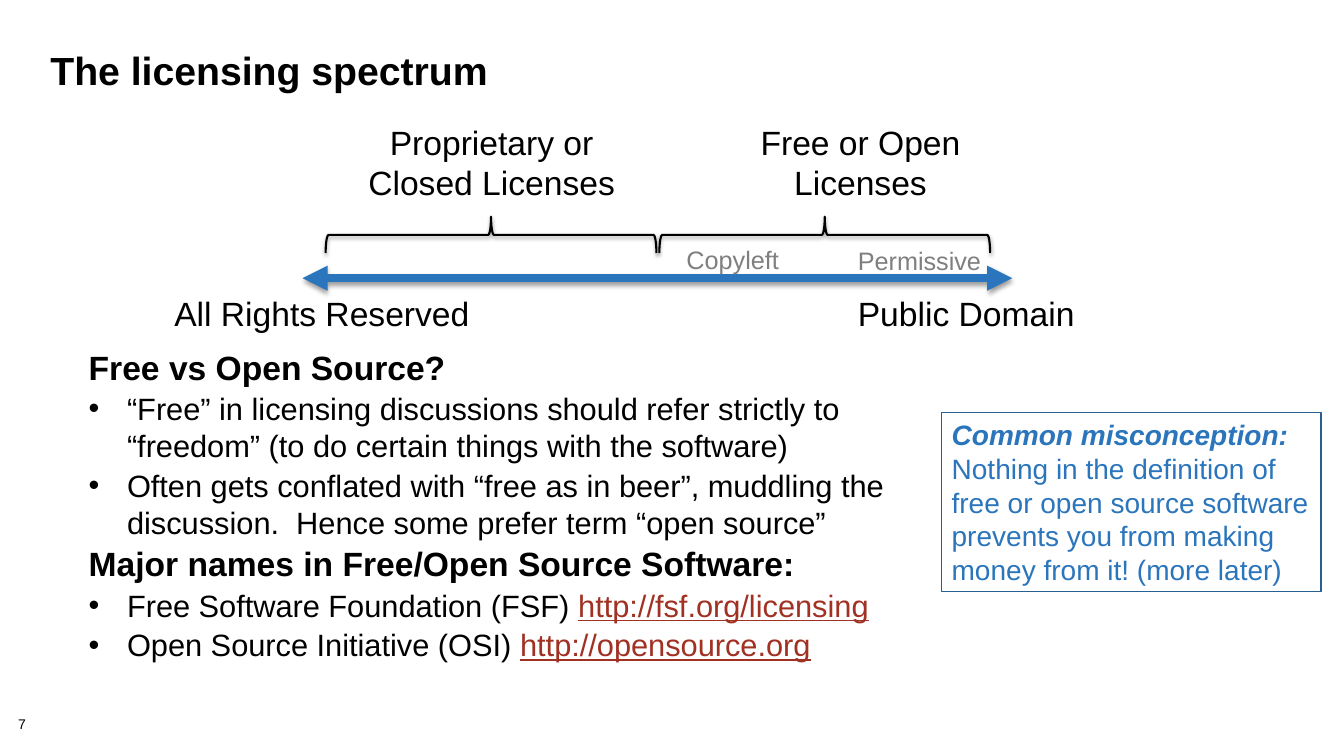
from lxml.etree import SubElement
from pptx import Presentation
from pptx.dml.color import RGBColor
from pptx.enum.shapes import MSO_CONNECTOR, MSO_SHAPE
from pptx.enum.text import MSO_ANCHOR, MSO_AUTO_SIZE, PP_ALIGN
from pptx.oxml.ns import qn
from pptx.util import Inches, Pt

BLACK, GRAY, BLUE, EDGE, LINK = "000000", "7F7F7F", "2A75BB", "266093", "A03123"
LEFT, CENTER = PP_ALIGN.LEFT, PP_ALIGN.CENTER

TITLE = "The licensing spectrum"
TITLE_PLACE = (3, 6, 93.32, 7.47)
PAGE_NUMBER = "7"
PAGE_PLACE = (1.35, 94.93, 4.2, 2.13)

LABELS = [
    ("All Rights Reserved", (12.23, 38.13, 23.71, 6.67), 24, BLACK, LEFT, False),
    ("Public Domain", (63.09, 38.13, 20.33, 6.67), 24, BLACK, LEFT, True),
    ("Proprietary or Closed Licenses", (24.91, 15.47, 23.33, 12.13), 24, BLACK, CENTER, True),
    ("Free or Open Licenses", (54.16, 15.47, 19.73, 12.13), 24, BLACK, CENTER, True),
    ("Copyleft", (50.34, 31.6, 8.48, 5.33), 18, GRAY, LEFT, False),
    ("Permissive", (63.09, 31.73, 10.8, 5.33), 18, GRAY, LEFT, False),
]
AXIS_START, AXIS_END, AXIS_ROW = 22.5, 75.32, 36.8
BRACE_STARTS = [24.23, 49.06]
BRACE_TOP, BRACE_WIDTH, BRACE_HEIGHT = 28.67, 24.61, 4.8

BODY_PLACE = (5.85, 45.17, 61.29, 43.6)
BODY = [
    ("heading", "Free vs Open Source?", ""),
    ("bullet", "“Free” in licensing discussions should refer strictly to “freedom” "
               "(to do certain things with the software)", ""),
    ("bullet", "Often gets conflated with “free as in beer”, muddling the discussion.  "
               "Hence some prefer term “open source”", ""),
    ("heading", "Major names in Free/Open Source Software:", ""),
    ("bullet", "Free Software Foundation (FSF) ", "http://fsf.org/licensing"),
    ("bullet", "Open Source Initiative (OSI) ", "http://opensource.org"),
]
CALLOUT_PLACE = (70.07, 54.53, 28.21, 23.73)
CALLOUT_LEAD = "Common misconception: "
CALLOUT_TEXT = ("Nothing in the definition of free or open source software prevents "
                "you from making money from it! (more later)")

presentation = Presentation()
presentation.slide_width = Inches(13.33)
presentation.slide_height = Inches(7.5)
slide = presentation.slides.add_slide(presentation.slide_layouts[1])
shapes = slide.shapes


def across(share):
    return round(presentation.slide_width * share / 100)


def down(share):
    return round(presentation.slide_height * share / 100)


def frame(place):
    left, top, width, height = place
    return across(left), down(top), across(width), down(height)


def color(value):
    return RGBColor.from_string(value)


def move(shape, place):
    shape.left, shape.top, shape.width, shape.height = frame(place)


def prepare(shape, anchor=MSO_ANCHOR.TOP, wrap=True):
    text_frame = shape.text_frame
    text_frame.auto_size = MSO_AUTO_SIZE.NONE
    text_frame.word_wrap = wrap
    text_frame.vertical_anchor = anchor
    return text_frame


def add_run(paragraph, text, size, value, bold=False, italic=False, underline=False):
    run = paragraph.add_run()
    run.text = text
    font = run.font
    font.name, font.size = "Arial", Pt(size)
    font.bold, font.italic, font.underline = bold, italic, underline
    font.color.rgb = color(value)


def style_line(line, value, width):
    line.color.rgb = color(value)
    line.width = Pt(width)


def add_shadow(effects):
    shadow = SubElement(effects, qn("a:outerShdw"), blurRad=str(Pt(3.1)), dist=str(Pt(1.6)),
                        dir="5400000", rotWithShape="0")
    shade = SubElement(shadow, qn("a:srgbClr"), val=BLACK)
    SubElement(shade, qn("a:alpha"), val="38000")


def add_axis():
    axis = shapes.add_connector(MSO_CONNECTOR.STRAIGHT, across(AXIS_START), down(AXIS_ROW),
                                across(AXIS_END), down(AXIS_ROW))
    style_line(axis.line, BLUE, 6)
    outline = axis.line._get_or_add_ln()
    for end in ("a:headEnd", "a:tailEnd"):
        SubElement(outline, qn(end), type="triangle")
    add_shadow(SubElement(axis._element.spPr, qn("a:effectLst")))


def add_brace(start):
    left, top, width, height = frame((start, BRACE_TOP, BRACE_WIDTH, BRACE_HEIGHT))
    brace = shapes.add_shape(MSO_SHAPE.LEFT_BRACE, left + (width - height) // 2,
                             top - (width - height) // 2, height, width)
    brace.rotation = 90
    brace.adjustments[0], brace.adjustments[1] = 0.08, 0.5
    brace.fill.background()
    style_line(brace.line, BLACK, 1.5)
    brace.shadow.inherit = False
    add_shadow(brace._element.spPr.find(qn("a:effectLst")))


def add_label(text, place, size, value, alignment, wrap):
    box = shapes.add_textbox(*frame(place))
    paragraph = prepare(box, wrap=wrap).paragraphs[0]
    paragraph.alignment = alignment
    add_run(paragraph, text, size, value)
    return box


def fill_body(body):
    move(body, BODY_PLACE)
    text_frame = prepare(body)
    for index, (kind, text, address) in enumerate(BODY):
        paragraph = text_frame.add_paragraph() if index else text_frame.paragraphs[0]
        heading = kind == "heading"
        properties = paragraph._p.get_or_add_pPr()
        indent = 0 if heading else Inches(0.38)
        properties.set("marL", str(indent))
        properties.set("indent", str(-indent))
        if heading:
            SubElement(properties, qn("a:buNone"))
        else:
            SubElement(properties, qn("a:buFont"), typeface="Arial")
            SubElement(properties, qn("a:buChar"), char="•")
        paragraph.space_before = Pt(2 if index else 0)
        add_run(paragraph, text, 24 if heading else 22, BLACK, bold=heading)
        if address:
            add_run(paragraph, address, 22, LINK, underline=True)


def add_callout():
    callout = shapes.add_shape(MSO_SHAPE.RECTANGLE, *frame(CALLOUT_PLACE))
    callout.shadow.inherit = False
    callout.fill.background()
    style_line(callout.line, EDGE, 1)
    paragraph = prepare(callout, MSO_ANCHOR.MIDDLE).paragraphs[0]
    paragraph.alignment = LEFT
    add_run(paragraph, CALLOUT_LEAD, 20, BLUE, bold=True, italic=True)
    add_run(paragraph, CALLOUT_TEXT, 20, BLUE)


title = shapes.title
move(title, TITLE_PLACE)
title_paragraph = prepare(title, MSO_ANCHOR.MIDDLE).paragraphs[0]
title_paragraph.alignment = LEFT
title_paragraph.line_spacing = 0.85
add_run(title_paragraph, TITLE, 28, BLACK, bold=True)

add_axis()
for brace_start in BRACE_STARTS:
    add_brace(brace_start)
for label in LABELS:
    add_label(*label)
fill_body(slide.placeholders[1])
add_callout()

page = add_label(PAGE_NUMBER, PAGE_PLACE, 10, BLACK, LEFT, True).text_frame
page.margin_left = page.margin_right = page.margin_top = page.margin_bottom = 0
page.paragraphs[0].line_spacing = 0.9

presentation.save("out.pptx")
